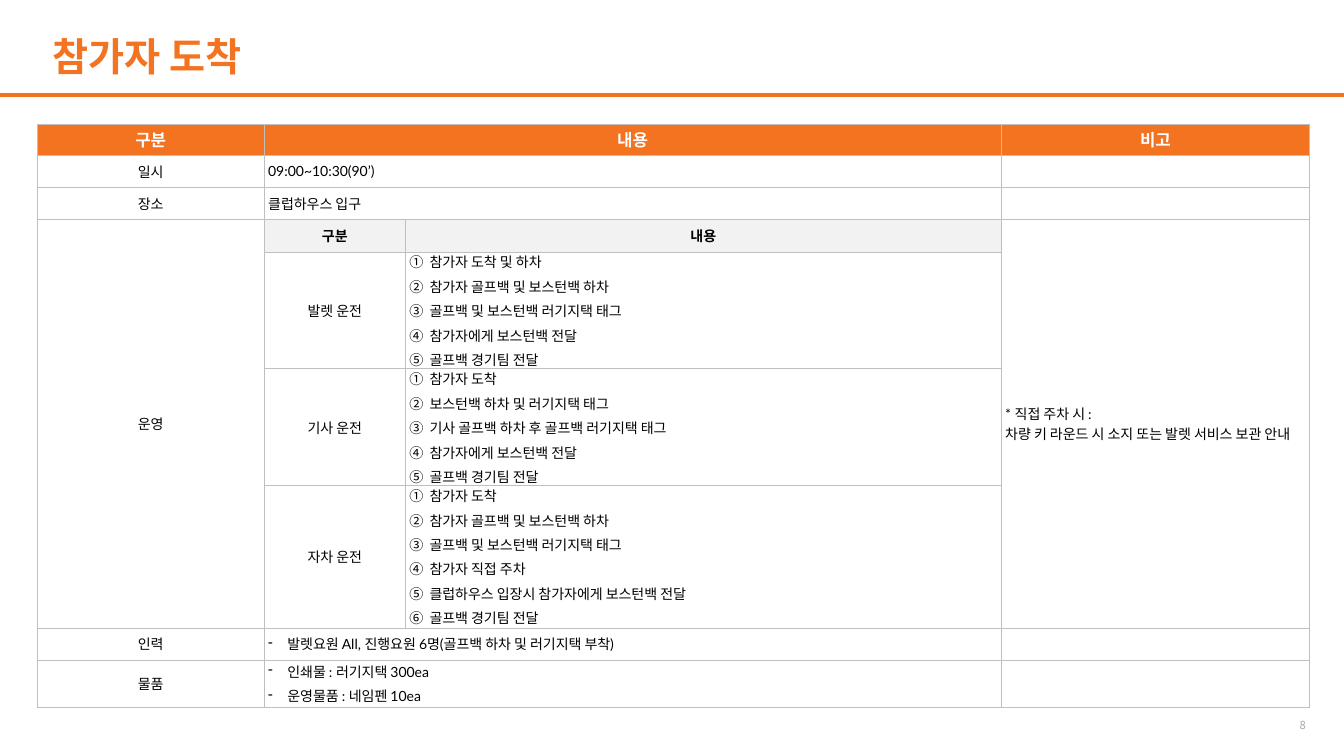
from dataclasses import dataclass

from lxml import etree
from pptx import Presentation
from pptx import util as u
from pptx.dml.color import RGBColor
from pptx.enum import shapes, text
from pptx.oxml import ns

COLORS = {"orange": "F37321", "white": "FFFFFF", "black": "000000",
          "subhead": "F2F2F2", "border": "BFBFBF", "page": "A6A6A6"}
LATIN, KOREAN = "Lato", "Noto Sans CJK KR"
COLS = [2.25, 1.4, 5.91, 3.06]
ROWS = [0.31, 0.32, 0.32, 0.32, 1.16, 1.16, 1.41, 0.32, 0.47]


@dataclass(frozen=True)
class Style:
    size: float = 10
    color: str = "black"
    bold: bool = False
    fill: str = "white"
    center: bool = False
    bullet: str = ""
    indent: float = 0
    latin: str = LATIN


LABEL = Style(center=True)
HEAD = Style(12, "white", True, "orange", True)
SUBHEAD = Style(bold=True, fill="subhead", center=True)
PLAIN = Style()
STEPS = Style(bullet="number", indent=0.2)
DASHES = Style(bullet="-", indent=0.19)
TITLE = Style(28, "orange", True)
PAGE = Style(8, "page", latin=KOREAN)


@dataclass(frozen=True)
class Entry:
    row: int
    col: int
    lines: list[str]
    style: Style = PLAIN
    rows: int = 1
    cols: int = 1


ENTRIES = [
    Entry(0, 0, ["구분"], HEAD),
    Entry(0, 1, ["내용"], HEAD, cols=2),
    Entry(0, 3, ["비고"], HEAD),
    Entry(1, 0, ["일시"], LABEL),
    Entry(1, 1, ["09:00~10:30(90’)"], cols=2),
    Entry(2, 0, ["장소"], LABEL),
    Entry(2, 1, ["클럽하우스 입구"], cols=2),
    Entry(3, 0, ["운영"], LABEL, rows=4),
    Entry(3, 1, ["구분"], SUBHEAD),
    Entry(3, 2, ["내용"], SUBHEAD),
    Entry(3, 3, ["* 직접 주차 시 :\v차량 키 라운드 시 소지 또는 발렛 서비스 보관 안내"], rows=4),
    Entry(4, 1, ["발렛 운전"], LABEL),
    Entry(4, 2, ["참가자 도착 및 하차", "참가자 골프백 및 보스턴백 하차",
                 "골프백 및 보스턴백 러기지택 태그", "참가자에게 보스턴백 전달",
                 "골프백 경기팀 전달"], STEPS),
    Entry(5, 1, ["기사 운전"], LABEL),
    Entry(5, 2, ["참가자 도착", "보스턴백 하차 및 러기지택 태그",
                 "기사 골프백 하차 후 골프백 러기지택 태그", "참가자에게 보스턴백 전달",
                 "골프백 경기팀 전달"], STEPS),
    Entry(6, 1, ["자차 운전"], LABEL),
    Entry(6, 2, ["참가자 도착", "참가자 골프백 및 보스턴백 하차",
                 "골프백 및 보스턴백 러기지택 태그", "참가자 직접 주차",
                 "클럽하우스 입장시 참가자에게 보스턴백 전달", "골프백 경기팀 전달"], STEPS),
    Entry(7, 0, ["인력"], LABEL),
    Entry(7, 1, ["발렛요원 All, 진행요원 6명(골프백 하차 및 러기지택 부착)"], DASHES, cols=2),
    Entry(8, 0, ["물품"], LABEL),
    Entry(8, 1, ["인쇄물 : 러기지택 300ea", "운영물품 : 네임펜 10ea"], DASHES, cols=2),
]


def rgb(name: str) -> RGBColor:
    return RGBColor.from_string(COLORS[name])


def add_run(p, words: str, style: Style) -> None:
    r = p.add_run()
    r.text = words
    r.font.size = u.Pt(style.size)
    r.font.bold = style.bold
    r.font.name = style.latin
    r.font.color.rgb = rgb(style.color)
    etree.SubElement(r._r.get_or_add_rPr(), ns.qn("a:ea"), typeface=KOREAN)


def add_bullet(p, style: Style) -> None:
    pPr = p._p.get_or_add_pPr()
    pPr.set("marL", str(u.Inches(style.indent)))
    pPr.set("indent", str(-u.Inches(style.indent)))
    if style.bullet == "number":
        etree.SubElement(pPr, ns.qn("a:buAutoNum"), type="circleNumDbPlain")
    else:
        etree.SubElement(pPr, ns.qn("a:buChar"), char=style.bullet)


def fill_lines(tf, lines: list[str], style: Style, before: float = 0) -> None:
    for i, line in enumerate(lines):
        p = tf.add_paragraph() if i else tf.paragraphs[0]
        p.alignment = text.PP_ALIGN.CENTER if style.center else text.PP_ALIGN.LEFT
        p.space_before = u.Pt(before)
        if style.bullet:
            add_bullet(p, style)
        for n, part in enumerate(line.split("\v")):
            if n:
                p.add_line_break()
            add_run(p, part, style)


def add_text(s, box: tuple, words: str, style: Style, inset_y: float, wrap: bool,
             anchor: text.MSO_ANCHOR) -> None:
    sp = s.shapes.add_textbox(*map(u.Inches, box))
    tf = sp.text_frame
    tf.word_wrap = wrap
    tf.vertical_anchor = anchor
    tf.margin_left = tf.margin_right = u.Inches(0.13)
    tf.margin_top = tf.margin_bottom = u.Inches(inset_y)
    fill_lines(tf, [words], style)


def prepare_cell(cell) -> None:
    """Give a cell its borders, insets, white fill and a small empty line."""
    tcPr = cell._tc.get_or_add_tcPr()
    for side in ("lnL", "lnR", "lnT", "lnB"):
        ln = etree.SubElement(tcPr, ns.qn(f"a:{side}"), w=str(u.Pt(0.5)))
        solid = etree.SubElement(ln, ns.qn("a:solidFill"))
        etree.SubElement(solid, ns.qn("a:srgbClr"), val=COLORS["border"])
    cell.fill.solid()
    cell.fill.fore_color.rgb = rgb("white")
    cell.vertical_anchor = text.MSO_ANCHOR.MIDDLE
    cell.margin_left = cell.margin_right = u.Inches(0.04)
    cell.margin_top = cell.margin_bottom = 0
    p = cell.text_frame.paragraphs[0]
    etree.SubElement(p._p, ns.qn("a:endParaRPr"), sz="1000")


def add_schedule(s) -> None:
    table = s.shapes.add_table(len(ROWS), len(COLS), u.Inches(0.37), u.Inches(1.23),
                               u.Inches(sum(COLS)), u.Inches(sum(ROWS))).table
    for column, width in zip(table.columns, COLS):
        column.width = u.Inches(width)
    for row, height in zip(table.rows, ROWS):
        row.height = u.Inches(height)
    for cell in table.iter_cells():
        prepare_cell(cell)
    for e in ENTRIES:
        cell = table.cell(e.row, e.col)
        if e.rows > 1 or e.cols > 1:
            cell.merge(table.cell(e.row + e.rows - 1, e.col + e.cols - 1))
        cell.fill.fore_color.rgb = rgb(e.style.fill)
        fill_lines(cell.text_frame, e.lines, e.style, before=3)


def add_rule(s, y: float, width: float) -> None:
    line = s.shapes.add_connector(shapes.MSO_CONNECTOR.STRAIGHT, 0, u.Inches(y),
                                  u.Inches(width), u.Inches(y))
    line.line.color.rgb = rgb("orange")
    line.line.width = u.Pt(3)
    etree.SubElement(line._element.spPr, ns.qn("a:effectLst"))


def main() -> None:
    prs = Presentation()
    prs.slide_width, prs.slide_height = u.Inches(13.33), u.Inches(7.5)
    s = prs.slides.add_slide(prs.slide_layouts[6])
    add_text(s, (12.76, 7.07, 0.41, 0.27), "8", PAGE, 0.06, False, text.MSO_ANCHOR.TOP)
    add_rule(s, 0.94, 13.33)
    add_text(s, (0.39, 0.29, 12.56, 0.53), "참가자 도착", TITLE, 0.07, True,
             text.MSO_ANCHOR.MIDDLE)
    add_schedule(s)
    prs.save("out.pptx")


if __name__ == "__main__":
    main()
